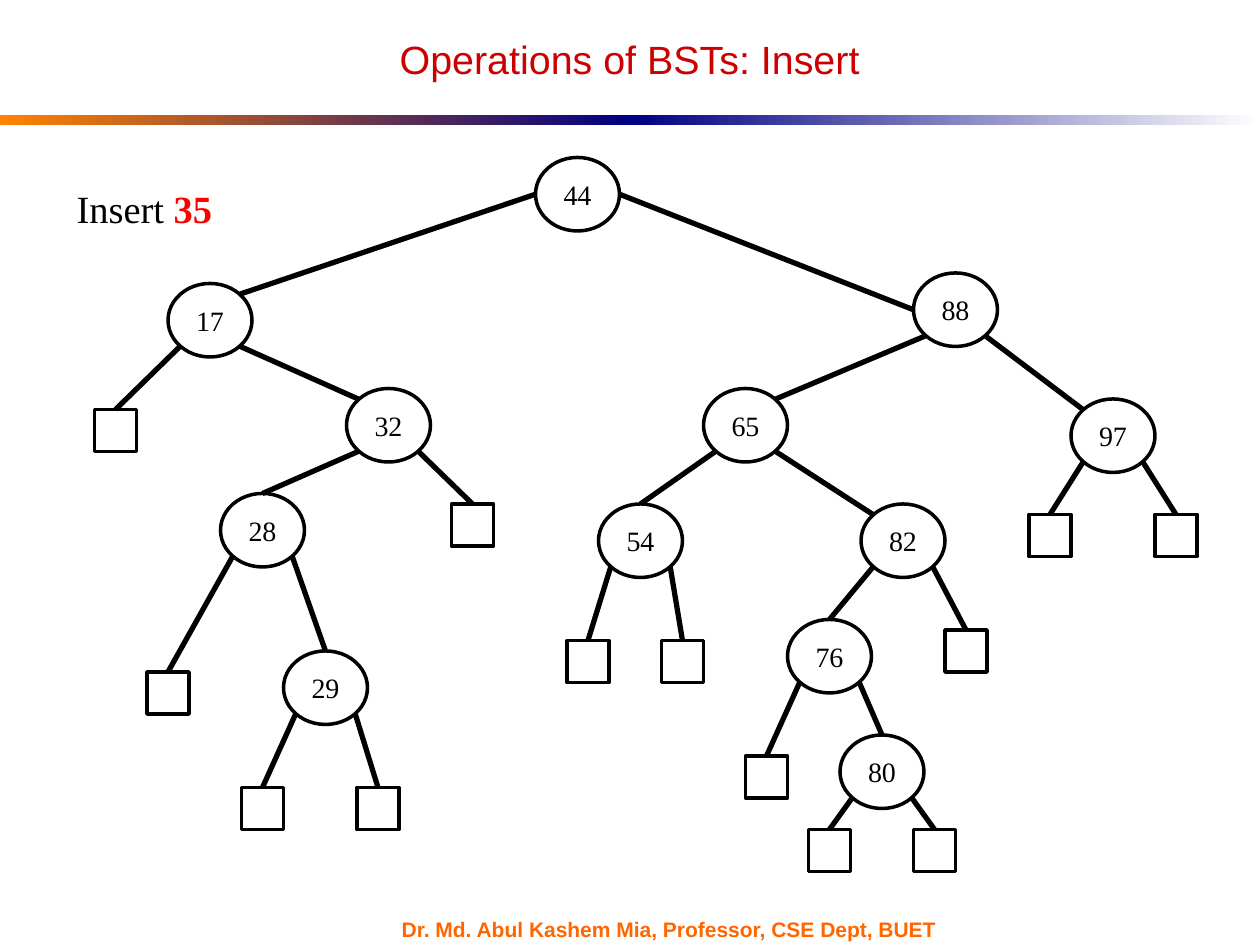
from math import sqrt
from lxml.etree import SubElement
from pptx import Presentation
from pptx.dml.color import RGBColor
from pptx.enum.shapes import MSO_CONNECTOR, MSO_SHAPE
from pptx.enum.text import MSO_ANCHOR, PP_ALIGN
from pptx.oxml.ns import qn
from pptx.util import Inches, Pt

COLORS = {"black": "000000", "white": "FFFFFF", "title": "CC0000", "key": "FF0000",
          "footer": "FF6600", "orange": "FF8200", "navy": "000082"}
CELL = 1 / 12  # grid step in inches
NODE, LEAF = (8, 7), (4, 4)  # sizes in grid cells
SERIF, SANS = "Times New Roman", "Arial"

# key: (column, row, parent, side of the parent, where the edge enters)
NODES = {
    44: (51, 15, None, None, None),
    17: (16, 27, 44, "left", "upper right"),
    32: (33, 37, 17, "right", "upper left"),
    28: (21, 47, 32, "left", "top"),
    29: (27, 62, 28, "right", "top"),
    88: (87, 26, 44, "right", "left"),
    65: (67, 37, 88, "left", "upper right"),
    97: (102, 38, 88, "right", "upper left"),
    54: (57, 48, 65, "left", "top"),
    82: (82, 48, 65, "right", "upper left"),
    76: (75, 59, 82, "left", "top"),
    80: (80, 70, 76, "right", "top"),
}
# empty children: (column, row, parent, side)
LEAVES = [
    (9, 39, 17, "left"), (43, 48, 32, "right"), (14, 64, 28, "left"),
    (23, 75, 29, "left"), (34, 75, 29, "right"),
    (54, 61, 54, "left"), (63, 61, 54, "right"), (90, 60, 82, "right"),
    (98, 49, 97, "left"), (110, 49, 97, "right"), (71, 72, 76, "left"),
    (77, 79, 80, "left"), (87, 79, 80, "right"),
]
# Offsets from a shape's centre, as shares of half its size
D = 1 / sqrt(2)
SITES = {"top": (0, -1), "left": (-1, 0), "right": (1, 0),
         "upper left": (-D, -D), "upper right": (D, -D),
         "lower left": (-D, D), "lower right": (D, D)}


def rgb(name):
    return RGBColor.from_string(COLORS[name])


def add_run(p, text, color, **fmt):
    r = p.add_run()
    r.text = text
    r.font.color.rgb = rgb(color)
    for name, value in fmt.items():
        setattr(r.font, name, value)


def add_box(s, *at):
    tf = s.shapes.add_textbox(*map(Inches, at)).text_frame
    tf.word_wrap = False
    return tf


def add_bar(s, left, width, start, end):
    sp = s.shapes.add_shape(MSO_SHAPE.RECTANGLE, *map(Inches, (left, 0.91, width, 0.08)))
    sp.shadow.inherit = False
    sp.line.fill.background()
    sp.fill.gradient()
    sp.fill.gradient_angle = 0
    for stop, color in zip(sp.fill.gradient_stops, (start, end)):
        stop.color.rgb = rgb(color)


def add_cell(s, kind, col, row, size, key=None):
    sp = s.shapes.add_shape(kind, *(Inches(v * CELL) for v in (col, row, *size)))
    sp.shadow.inherit = False
    sp.fill.solid()
    sp.fill.fore_color.rgb = rgb("white")
    sp.line.color.rgb = rgb("black")
    sp.line.width = Pt(2)
    if key is not None:
        tf = sp.text_frame
        tf.vertical_anchor = MSO_ANCHOR.MIDDLE
        p = tf.paragraphs[0]
        p.alignment = PP_ALIGN.CENTER
        add_run(p, str(key), "black", size=Pt(16), name=SERIF)


def site(col, row, size, where):
    dx, dy = SITES[where]
    return (Inches((col + size[0] / 2 * (1 + dx)) * CELL),
            Inches((row + size[1] / 2 * (1 + dy)) * CELL))


def add_edge(s, parent, side, end):
    col, row, grandparent = NODES[parent][:3]
    # The root's edges leave from its sides, all others from below
    where = side if grandparent is None else f"lower {side}"
    start = site(col, row, NODE, where)
    c = s.shapes.add_connector(MSO_CONNECTOR.STRAIGHT, *start, *end)
    c.line.color.rgb = rgb("black")
    c.line.width = Pt(3)
    SubElement(c._element.spPr, qn("a:effectLst"))


def add_title(s, text):
    sp = s.shapes.title
    sp.left, sp.top, sp.width, sp.height = map(Inches, (0.5, 0.25, 9, 0.51))
    tf = sp.text_frame
    tf.vertical_anchor = MSO_ANCHOR.MIDDLE
    p = tf.paragraphs[0]
    p.alignment, p.line_spacing = PP_ALIGN.CENTER, 0.8
    add_run(p, text, "title", size=Pt(22.5), name=SANS)


def add_tree(s):
    for key, (col, row, *_) in NODES.items():
        add_cell(s, MSO_SHAPE.OVAL, col, row, NODE, key)
    for col, row, parent, side in LEAVES:
        add_cell(s, MSO_SHAPE.RECTANGLE, col, row, LEAF)
        add_edge(s, parent, side, site(col, row, LEAF, "top"))
    for col, row, parent, side, entry in NODES.values():
        if parent is not None:
            add_edge(s, parent, side, site(col, row, NODE, entry))


def main():
    prs = Presentation()
    prs.slide_width, prs.slide_height = Inches(10), Inches(7.5)
    s = prs.slides.add_slide(prs.slide_layouts[5])

    # Title, two-part rule and footer
    add_title(s, "Operations of BSTs: Insert")
    add_bar(s, 0, 5, "orange", "navy")
    add_bar(s, 5, 5, "navy", "white")
    tf = add_box(s, 3.09, 7.28, 4.67, 0.18)
    tf.vertical_anchor = MSO_ANCHOR.MIDDLE
    add_run(tf.paragraphs[0], "Dr. Md. Abul Kashem Mia, Professor, CSE Dept, BUET",
            "footer", size=Pt(12), name=SANS, bold=True)

    # Search tree and the key to insert
    add_tree(s)
    p = add_box(s, 0.51, 1.42, 1.47, 0.47).paragraphs[0]
    add_run(p, "Insert ", "black", size=Pt(22), name=SERIF)
    add_run(p, "35", "key", size=Pt(22), name=SERIF, bold=True)

    prs.save("out.pptx")


if __name__ == "__main__":
    main()
